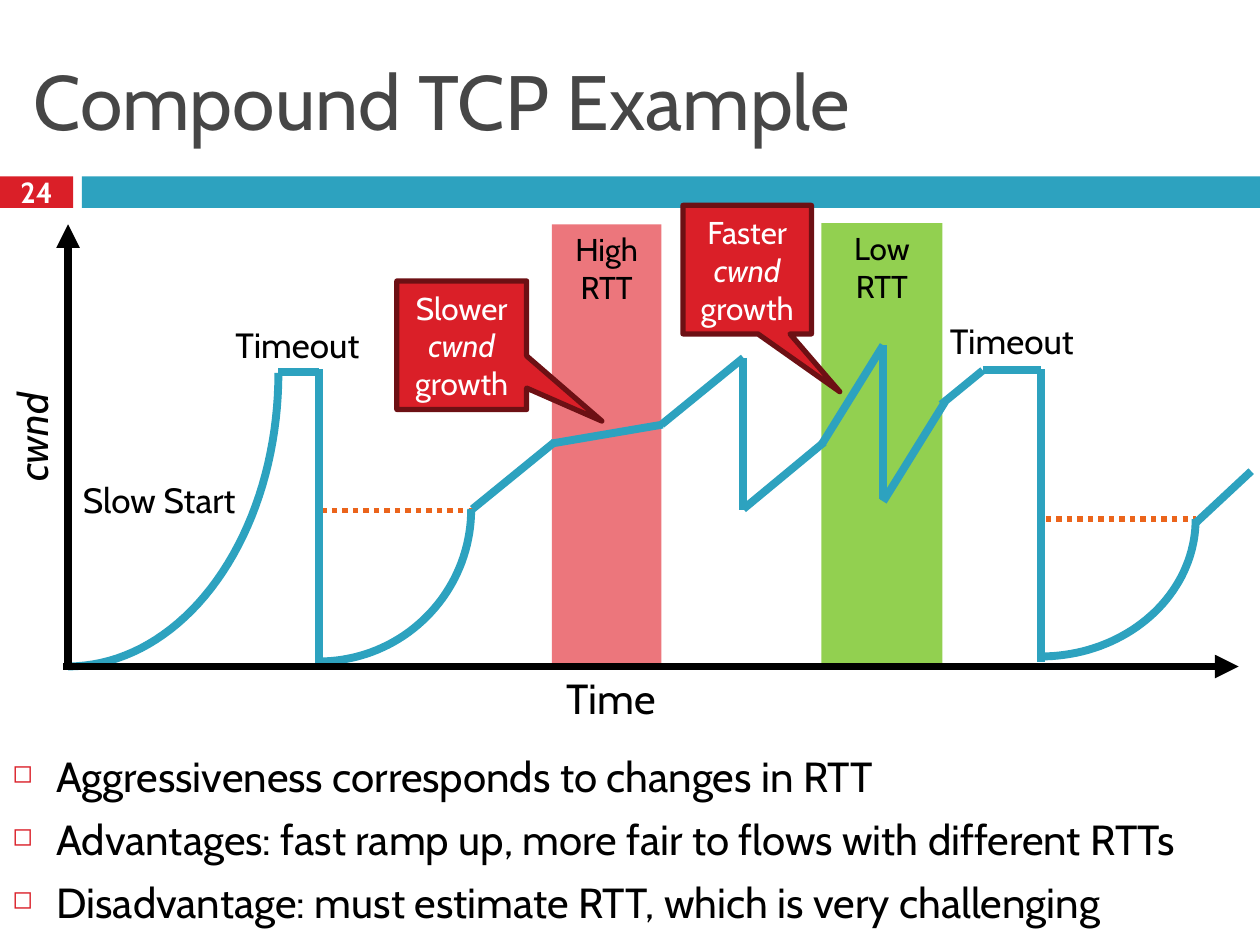
from math import cos, pi, sin

from lxml import etree
from pptx import Presentation
from pptx import util as u
from pptx.dml.color import RGBColor
from pptx.enum import dml, shapes, text
from pptx.oxml.ns import qn

HUES = {"red": "DA1F28", "blue": "2DA2BF", "green": "92D050", "pink": "EC767C",
        "dark": "6D1014", "dots": "EB641B", "title": "464646",
        "ink": "000000", "white": "FFFFFF"}
FONT = "Cabin"
UNIT = 0.1
CURVES = [(0, 11.8, 16.7, 23.3), (19.9, 22.6, 12.1, 12.1), (77.2, 23.4, 12.3, 10.9)]
STEPS = [
    (16.7, 11.7, 19.9, 11.7), (19.9, 11.5, 19.9, 34.8),
    (32.1, 22.6, 38.6, 17.3), (38.4, 17.4, 47.2, 15.9),
    (47.1, 15.9, 53.6, 10.6), (53.6, 10.6, 53.6, 22.7),
    (53.6, 22.6, 60, 17.3), (59.8, 17.5, 64.7, 9.6),
    (64.7, 9.6, 64.7, 21.8), (64.7, 22, 69.6, 14.1),
    (69.3, 14.3, 72.6, 11.6), (72.6, 11.6, 77.2, 11.6),
    (77.2, 11.5, 77.2, 34.7), (89.5, 23.7, 93.9, 19.6)]
LIMITS = [(20.1, 22.7, 32.2, 22.7), (77.6, 23.4, 89.5, 23.4)]
BANDS = [("green", "Low", (59.8, -0.1, 9.6, 35.1)), ("pink", "High", (38.4, 0, 8.7, 35.1))]
LABELS = [("Time", 24, (38.6, 35.1, 9.4, 5.1)), ("Timeout", 20, (12.3, 7.4, 12.1, 4.4)),
          ("Slow Start", 20, (0.2, 19.7, 14.8, 4.4)), ("Timeout", 20, (69, 7.1, 12.1, 4.4))]
CALLS = [("Slower ", (26.1, 4.5, 10.3, 10.2), (1.08, 0.59)),
         ("Faster ", (48.8, -1.5, 10.2, 10.2), (0.72, 0.95))]
POINTS = ["Aggressiveness corresponds to changes in RTT",
          "Advantages: fast ramp up, more fair to flows with different RTTs",
          "Disadvantage: must estimate RTT, which is very challenging"]


def size(n):
    """Turn grid units into a length."""
    return u.Inches(n * UNIT)


def hue(name):
    """Look up a colour by name."""
    return RGBColor.from_string(HUES[name])


def inner(box, part):
    """Shift a part into the box that holds it."""
    return (box[0] + part[0], box[1] + part[1], *part[2:])


def style(run, pts, tint, bold=False, slant=False):
    """Set the font of a run."""
    font = run.font
    font.name, font.size, font.bold, font.italic = FONT, u.Pt(pts), bold, slant
    font.color.rgb = hue(tint)


def write(shape, lines, pts, tint, align=text.PP_ALIGN.LEFT,
          anchor=text.MSO_ANCHOR.TOP, wrap=True, bold=False, slant=False):
    """Fill a shape with paragraphs of one style."""
    frame = shape.text_frame
    frame.text = "\n".join(lines)
    frame.word_wrap, frame.vertical_anchor = wrap, anchor
    for para in frame.paragraphs:
        para.alignment = align
        for run in para.runs:
            style(run, pts, tint, bold, slant)
    return frame


def block(slide, box, tint, kind=shapes.MSO_SHAPE.RECTANGLE):
    """Draw a filled shape without outline."""
    shape = slide.shapes.add_shape(kind, *map(size, box))
    shape.shadow.inherit = False
    shape.fill.solid()
    shape.fill.fore_color.rgb = hue(tint)
    shape.line.fill.background()
    return shape


def label(slide, box, lines, pts, tint="ink", **opts):
    """Place a text box."""
    shape = slide.shapes.add_textbox(*map(size, box))
    write(shape, lines, pts, tint, **opts)
    return shape


def line(slide, box, ends, tint="blue", pts=4.5, dots=False, arrow=False):
    """Draw a straight line inside the box."""
    x, y = box[:2]
    a, b, c, d = ends
    link = slide.shapes.add_connector(
        shapes.MSO_CONNECTOR.STRAIGHT, *map(size, (x + a, y + b, x + c, y + d)))
    link.line.color.rgb, link.line.width = hue(tint), u.Pt(pts)
    if dots:
        link.line.dash_style = dml.MSO_LINE.ROUND_DOT
    if arrow:
        etree.SubElement(link.line._get_or_add_ln(), qn("a:tailEnd"), type="triangle")
    etree.SubElement(link._element.spPr, qn("a:effectLst"))


def curve(slide, box):
    """Draw a quarter ellipse rising from bottom left to top right."""
    x, y, w, h = box
    turns = [i * pi / 80 for i in range(41)]
    dots = [(size(x + w * sin(t)), size(y + h * cos(t))) for t in turns]
    build = slide.shapes.build_freeform(*dots[0])
    build.add_line_segments(dots[1:], close=False)
    shape = build.convert_to_shape()
    shape.shadow.inherit = False
    shape.fill.background()
    shape.line.color.rgb, shape.line.width = hue("blue"), u.Pt(4.5)


def callout(slide, box, start, tip):
    """Draw a speech box about window growth."""
    shape = block(slide, box, "red", shapes.MSO_SHAPE.RECTANGULAR_CALLOUT)
    shape.line.color.rgb, shape.line.width = hue("dark"), u.Pt(3)
    shape.adjustments[0], shape.adjustments[1] = tip
    frame = write(shape, [], 18, "white", text.PP_ALIGN.CENTER, text.MSO_ANCHOR.MIDDLE)
    for word in (start, "cwnd", " growth"):
        run = frame.paragraphs[0].add_run()
        run.text = word
        style(run, 18, "white", slant=word == "cwnd")


def header(slide, box):
    """Draw the title, the page number and the bar below."""
    mid = text.MSO_ANCHOR.MIDDLE
    label(slide, inner(box, (1.7, 2.5, 96.7, 10.8)), ["Compound TCP Example"], 44,
          "title", anchor=mid)
    page = block(slide, inner(box, (0, 14, 5.8, 2.5)), "red")
    frame = write(page, ["24"], 16.6, "white", text.PP_ALIGN.CENTER, mid, bold=True)
    frame.margin_left = frame.margin_right = frame.margin_top = frame.margin_bottom = 0
    block(slide, inner(box, (6.5, 14, box[2] - 6.5, 2.5)), "blue")


def plot(slide, box):
    """Draw the window size over time."""
    w, h = box[2:]
    for tint, level, part in BANDS:
        write(block(slide, inner(box, part), tint), [level, "RTT"], 18, "ink",
              text.PP_ALIGN.CENTER)
    for ends in LIMITS:
        line(slide, box, ends, "dots", 3, dots=True)
    for part in CURVES:
        curve(slide, inner(box, part))
    for ends in STEPS:
        line(slide, box, ends)
    for ends in ((0, h, 0, 0), (-0.4, h, w, h)):
        line(slide, box, ends, "ink", arrow=True)
    for name, pts, part in LABELS:
        label(slide, inner(box, part), [name], pts, wrap=False)
    side = label(slide, inner(box, (-7.8, 13.9, 9.9, 5.1)), ["cwnd"], 24,
                 wrap=False, slant=True)
    side.rotation = 270
    for start, part, tip in CALLS:
        callout(slide, inner(box, part), start, tip)


def bullets(slide, box):
    """Write the closing points with hollow square bullets."""
    shape = label(slide, box, POINTS, 24)
    for para in shape.text_frame.paragraphs:
        para.space_before = u.Pt(7)
        props = para._p.get_or_add_pPr()
        props.set("marL", str(size(3.5)))
        props.set("indent", str(-size(3.5)))
        tone = etree.SubElement(props, qn("a:buClr"))
        etree.SubElement(tone, qn("a:srgbClr"), val=HUES["red"])
        etree.SubElement(props, qn("a:buSzPct"), val="60000")
        etree.SubElement(props, qn("a:buChar"), char="◻")


def main():
    """Build the slide and save it."""
    deck = Presentation()
    deck.slide_width, deck.slide_height = size(100), size(75)
    slide = deck.slides.add_slide(deck.slide_layouts[6])
    header(slide, (0, 0, 100, 16.5))
    plot(slide, (5.4, 17.8, 92.9, 35.1))
    bullets(slide, (0, 59.1, 100, 15.9))
    deck.save("out.pptx")


if __name__ == "__main__":
    main()
